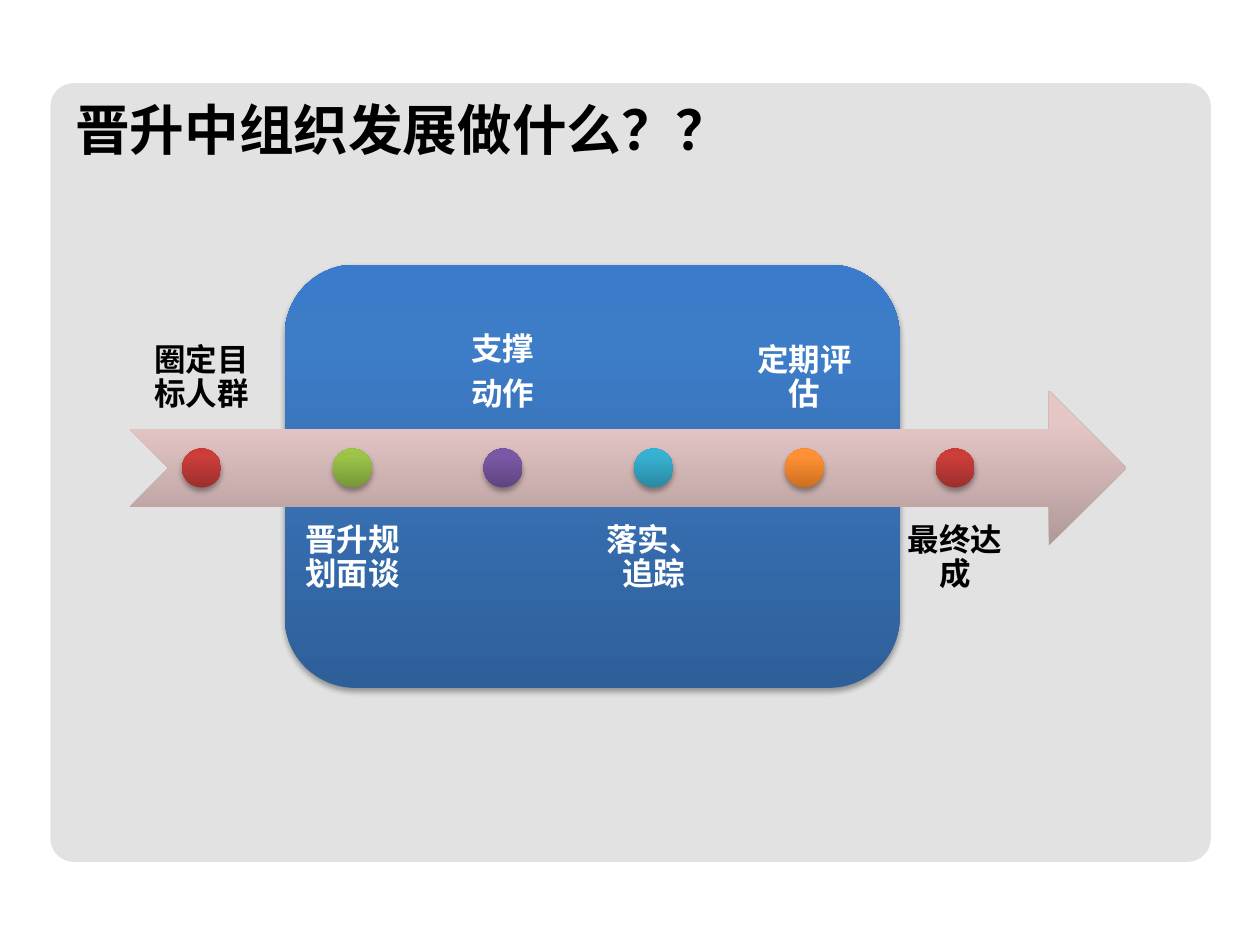
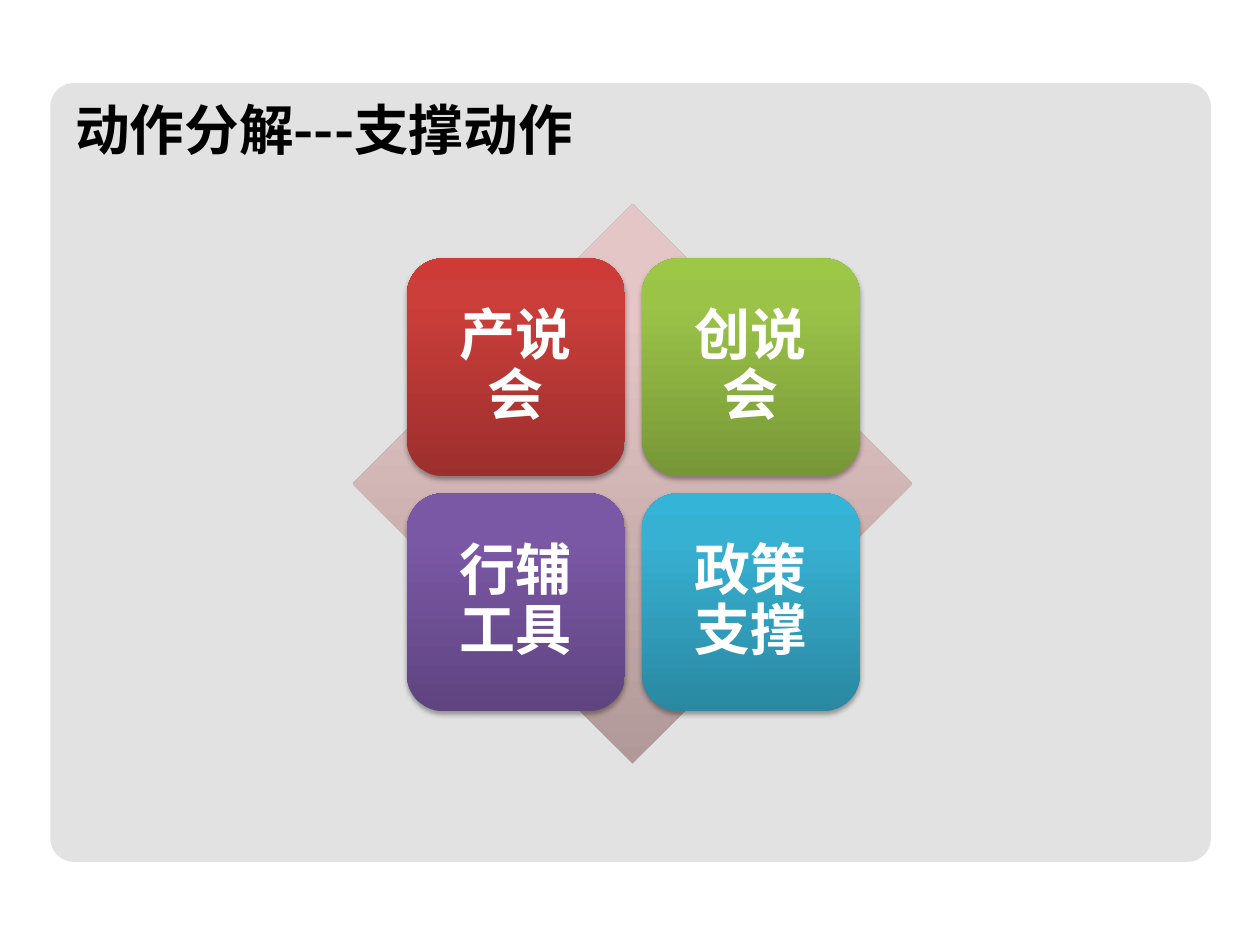
"""Build two slides on promotion support: a process timeline and a tile breakdown."""
import dataclasses

import lxml.etree
import pptx
import pptx.dml.color
import pptx.enum.shapes
import pptx.enum.text
import pptx.oxml
import pptx.oxml.ns
import pptx.util


@dataclasses.dataclass(frozen=True)
class Theme:
    font: str = "Noto Sans CJK SC"
    title_size: float = 31.2
    label_size: float = 18
    tile_size: float = 32
    black: str = "000000"
    white: str = "FFFFFF"
    panel: str = "D9D9D9"
    panel_opacity: int = 74
    blue: tuple = ("2F5F99", "3D7CC7", "3A7CCB")
    blush: tuple = ("B09998", "E5C6C6", "E6C7C6")
    red: tuple = ("9C2F2D", "CB3E3A", "CE3B37")
    green: tuple = ("779737", "9BC348", "9DC746")
    purple: tuple = ("5F4480", "7B58A6", "7C57A8")
    teal: tuple = ("2A88A2", "37B1D2", "34B4D6")
    orange: tuple = ("CC6E20", "FF9034", "FF9136")


theme = Theme()
shapes = pptx.enum.shapes.MSO_SHAPE
anchors = pptx.enum.text.MSO_ANCHOR
alignments = pptx.enum.text.PP_ALIGN
qn = pptx.oxml.ns.qn
namespace = pptx.oxml.ns.nsdecls("a")

deck = pptx.Presentation()
deck.slide_width = pptx.util.Inches(10)
deck.slide_height = pptx.util.Inches(7.5)
column = deck.slide_width / 100
row = deck.slide_height / 75


def draw(page, kind, left, top, width, height, colours=None, shadow=False):
    """Add a borderless shape, placed in grid units, or a text box when kind is None."""
    place = [round(n) for n in (left * column, top * row, width * column, height * row)]
    if kind is None:
        return page.shapes.add_textbox(*place)
    shape = page.shapes.add_shape(kind, *place)
    shape.line.fill.background()
    shape.shadow.inherit = False
    properties = shape.fill._xPr
    if colours:
        stops = "".join(
            f'<a:gs pos="{share * 1000}"><a:srgbClr val="{colour}"/></a:gs>'
            for share, colour in zip((0, 80, 100), colours)
        )
        properties.find(qn("a:ln")).addprevious(pptx.oxml.parse_xml(
            f'<a:gradFill {namespace} rotWithShape="1"><a:gsLst>{stops}</a:gsLst>'
            '<a:lin ang="16200000" scaled="0"/></a:gradFill>'
        ))
    if shadow:
        properties.find(qn("a:effectLst")).append(pptx.oxml.parse_xml(
            f'<a:outerShdw {namespace} blurRad="{pptx.util.Pt(3.1)}" '
            f'dist="{pptx.util.Pt(1.8)}" dir="5400000" rotWithShape="0">'
            '<a:srgbClr val="000000"><a:alpha val="35000"/></a:srgbClr></a:outerShdw>'
        ))
    return shape


def write(box, lines, size, colour, anchor, inset=None):
    """Fill a box with bold text; an inset marks it as a centred, tightly set label."""
    frame = box.text_frame
    frame.word_wrap = True
    frame.vertical_anchor = anchor
    frame.text = lines
    if inset:
        frame.margin_left = frame.margin_right = round(inset * column)
        frame.margin_top = frame.margin_bottom = round(inset * row)
    for para in frame.paragraphs:
        para.font.size = pptx.util.Pt(size)
        para.font.bold = True
        para.font.color.rgb = pptx.dml.color.RGBColor.from_string(colour)
        para.font.name = theme.font
        defaults = para._p.pPr.find(qn("a:defRPr"))
        lxml.etree.SubElement(defaults, qn("a:ea"), typeface=theme.font)
        if inset:
            para.alignment = alignments.CENTER
            para.line_spacing = 0.9
            para.space_after = pptx.util.Pt(size * 0.35)


pages = []
for title in ("晋升中组织发展做什么？？", "动作分解---支撑动作"):
    page = deck.slides.add_slide(deck.slide_layouts[6])
    panel = draw(page, shapes.ROUNDED_RECTANGLE, 4, 6.6, 92.1, 61.8)
    panel.adjustments[0] = 0.03
    panel.fill.solid()
    panel.fill.fore_color.rgb = pptx.dml.color.RGBColor.from_string(theme.panel)
    tint = panel.fill._xPr.find(qn("a:solidFill"))[0]
    lxml.etree.SubElement(tint, qn("a:alpha"), val=str(theme.panel_opacity * 1000))
    heading = draw(page, None, 5, 7.1, 72.6, 6.3)
    write(heading, title, theme.title_size, theme.black, anchors.MIDDLE)
    pages.append(page)
timeline_page, tiles_page = pages

draw(timeline_page, shapes.ROUNDED_RECTANGLE, 22.6, 21, 48.8, 33.6, theme.blue, True)
draw(timeline_page, shapes.NOTCHED_RIGHT_ARROW, 10.3, 31, 79.1, 12.3, theme.blush)
steps = [
    ("圈定目标人群", theme.red, theme.black),
    ("晋升规划面谈", theme.green, theme.white),
    ("支撑\n动作", theme.purple, theme.white),
    ("落实、追踪", theme.teal, theme.white),
    ("定期评估", theme.orange, theme.white),
    ("最终达成", theme.red, theme.black),
]
label_width, dot_size, step_pitch = 11.4, 3.1, 11.96
for index, (label, colours, ink) in enumerate(steps):
    left = 10.3 + index * step_pitch
    below = index % 2 == 1
    caption = draw(timeline_page, None, left, 40.2 if below else 21.8, label_width, 12.3)
    anchor = anchors.TOP if below else anchors.BOTTOM
    write(caption, label, theme.label_size, ink, anchor, 1.4)
    dot_left = left + (label_width - dot_size) / 2
    draw(timeline_page, shapes.OVAL, dot_left, 35.6, dot_size, dot_size, colours, True)

draw(tiles_page, shapes.DIAMOND, 28, 16.2, 44.4, 44.4, theme.blush)
tiles = [
    ("产说会", theme.red),
    ("创说会", theme.green),
    ("行辅工具", theme.purple),
    ("政策支撑", theme.teal),
]
tile_size, tile_pitch = 17.3, 18.65
for index, (label, colours) in enumerate(tiles):
    down, across = divmod(index, 2)
    left, top = 32.3 + across * tile_pitch, 20.5 + down * tile_pitch
    tile = draw(tiles_page, shapes.ROUNDED_RECTANGLE, left, top, tile_size, tile_size, colours, True)
    write(tile, label, theme.tile_size, theme.white, anchors.MIDDLE, 1.3)

deck.save("out.pptx")
